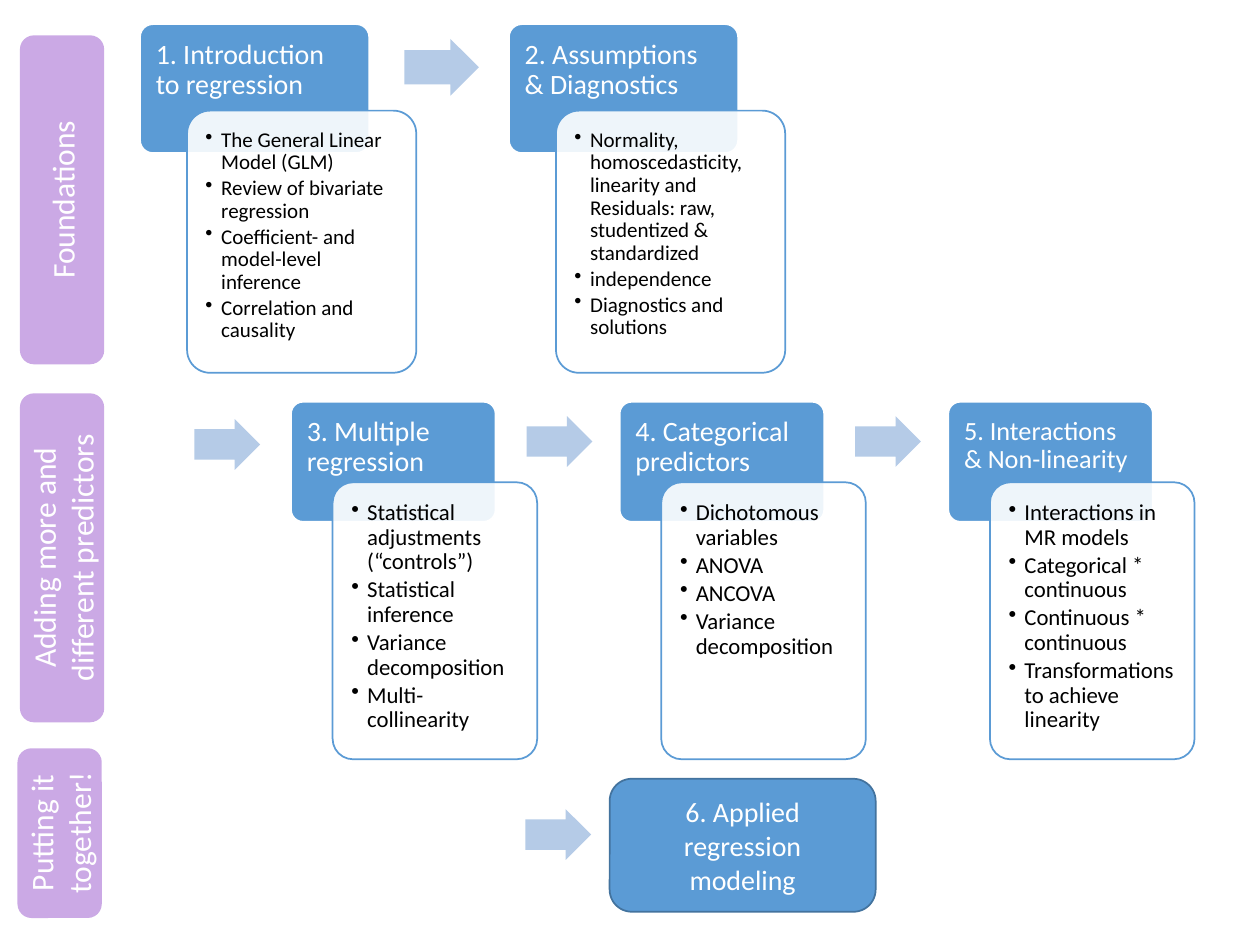
from dataclasses import dataclass
from lxml import etree
from pptx import Presentation
from pptx import util as u
from pptx.dml.color import RGBColor
from pptx.enum import shapes, text
from pptx.oxml import ns


@dataclass(frozen=True)
class Theme:
    font: str = "Calibri"
    blue: str = "5B9BD5"
    edge: str = "43739E"
    arrow: str = "B5CBE7"
    purple: str = "CBA9E5"
    white: str = "FFFFFF"
    black: str = "000000"
    stage_size: int = 18
    title_size: int = 16


@dataclass(frozen=True)
class Row:
    left: float
    top: float
    pitch: float
    width: float
    head_height: float
    title_height: float
    detail_shift: float
    detail_height: float
    pad: float
    inset: float
    size: int
    arrow_shift: tuple
    arrow_size: tuple


class Board:
    def __init__(self, slide, theme):
        self.slide, self.theme = slide, theme

    def shape(self, kind, box, fill, line=None, adjustments=(), alpha=None):
        item = self.slide.shapes.add_shape(kind, *map(u.Pt, box))
        item.shadow.inherit = False
        item.fill.solid()
        item.fill.fore_color.rgb = RGBColor.from_string(fill)
        if alpha:
            color = item.fill._xPr.find(".//" + ns.qn("a:srgbClr"))
            etree.SubElement(color, ns.qn("a:alpha"), val=str(alpha * 1000))
        if line:
            item.line.color.rgb = RGBColor.from_string(line)
            item.line.width = u.Pt(1)
        else:
            item.line.fill.background()
        for index, value in enumerate(adjustments):
            item.adjustments[index] = value
        return item

    def add_words(self, paragraph, words, size, color):
        run = paragraph.add_run()
        run.text = words
        run.font.name, run.font.size = self.theme.font, u.Pt(size)
        run.font.color.rgb = RGBColor.from_string(color)

    def label(self, box, words, size, fill, line=None, vertical=False):
        item = self.shape(shapes.MSO_SHAPE.ROUNDED_RECTANGLE, box, fill, line)
        frame = item.text_frame
        frame.word_wrap = True
        frame.vertical_anchor = text.MSO_ANCHOR.MIDDLE
        if vertical:
            frame._txBody.bodyPr.set("vert", "vert270")
        frame.paragraphs[0].alignment = text.PP_ALIGN.CENTER
        self.add_words(frame.paragraphs[0], words, size, self.theme.white)

    def arrow(self, left, top, size):
        self.shape(shapes.MSO_SHAPE.RIGHT_ARROW, (left, top, *size),
                   self.theme.arrow, adjustments=(0.6, 0.5))

    def text_box(self, box, lines, size, color, insets, after, bullets=False):
        frame = self.slide.shapes.add_textbox(*map(u.Pt, box)).text_frame
        frame.word_wrap = True
        (frame.margin_left, frame.margin_top,
         frame.margin_right, frame.margin_bottom) = map(u.Pt, insets)
        for index, words in enumerate(lines):
            paragraph = frame.add_paragraph() if index else frame.paragraphs[0]
            paragraph.line_spacing = 0.9
            paragraph.space_after = u.Pt(after)
            if bullets:
                paragraph.level = 1
                props = paragraph._p.get_or_add_pPr()
                props.set("marL", str(u.Pt(9)))
                props.set("indent", str(-u.Pt(9)))
                etree.SubElement(props, ns.qn("a:buChar"), char="•")
            self.add_words(paragraph, words, size, color)

    def card(self, row, column, title, topics, title_size):
        theme, rounded = self.theme, shapes.MSO_SHAPE.ROUNDED_RECTANGLE
        left = row.left + column * row.pitch
        self.shape(rounded, (left, row.top, row.width, row.head_height),
                   theme.blue, theme.white, (0.1,))
        self.text_box((left, row.top, row.width, row.title_height), [title],
                      title_size, theme.white, (9, 9, 9, 5), 5.6)
        x, y = left + row.detail_shift, row.top + row.title_height
        self.shape(rounded, (x, y, row.width, row.detail_height),
                   theme.white, theme.blue, (0.1,), alpha=90)
        inner = (x + row.pad, y + row.pad,
                 row.width - 2 * row.pad, row.detail_height - 2 * row.pad)
        self.text_box(inner, topics, row.size, theme.black,
                      (row.inset,) * 4, 0.15 * row.size, bullets=True)

    def card_row(self, row, cards):
        for column, (title, topics, title_size) in enumerate(cards):
            if column:
                dx, dy = row.arrow_shift
                self.arrow(row.left + (column - 1) * row.pitch + dx,
                           row.top + dy, row.arrow_size)
            self.card(row, column, title, topics, title_size)


theme = Theme()
small_arrow = (37.6, 29)
foundations = Row(80, 13.8, 210.8, 131, 73.7, 49.4, 26.9, 149.8, 3.84, 6.7, 12,
                  (151.1, 8.4), (42.5, 32.5))
predictors = Row(166.3, 229.6, 187.8, 116.9, 68.6, 46, 23.8, 158.3, 3.42, 7.28, 13,
                 (134.6, 8.2), small_arrow)
foundation_cards = [
    ("1. Introduction to regression",
     ["The General Linear Model (GLM)", "Review of bivariate regression",
      "Coefficient- and model-level inference", "Correlation and causality"],
     theme.title_size),
    ("2. Assumptions & Diagnostics",
     ["Normality, homoscedasticity, linearity and Residuals: raw, "
      "studentized & standardized", "independence", "Diagnostics and solutions"],
     theme.title_size),
]
predictor_cards = [
    ("3. Multiple regression",
     ["Statistical adjustments (“controls”)", "Statistical inference",
      "Variance decomposition", "Multi-collinearity"], theme.title_size),
    ("4. Categorical predictors",
     ["Dichotomous variables", "ANOVA", "ANCOVA", "Variance decomposition"],
     theme.title_size),
    ("5. Interactions & Non-linearity",
     ["Interactions in MR models", "Categorical * continuous",
      "Continuous * continuous", "Transformations to achieve linearity"],
     theme.title_size - 1),
]
stages = [
    ("Foundations", 11.4, 20.2, 188),
    ("Adding more and different predictors", 11.4, 224.8, 188),
    ("Putting it together!", 10, 427.6, 97),
]

deck = Presentation()
deck.slide_width, deck.slide_height = u.Pt(720), u.Pt(540)
board = Board(deck.slides.add_slide(deck.slide_layouts[6]), theme)
board.card_row(foundations, foundation_cards)
board.card_row(predictors, predictor_cards)
board.label((348.4, 445, 152, 76), "6. Applied regression modeling",
            theme.title_size, theme.blue, theme.edge)
for left, top in ((111.1, 239.5), (300.2, 462.4)):
    board.arrow(left, top, small_arrow)
for name, left, top, height in stages:
    board.label((left, top, 48.2, height), name, theme.stage_size,
                theme.purple, vertical=True)
deck.save("out.pptx")
